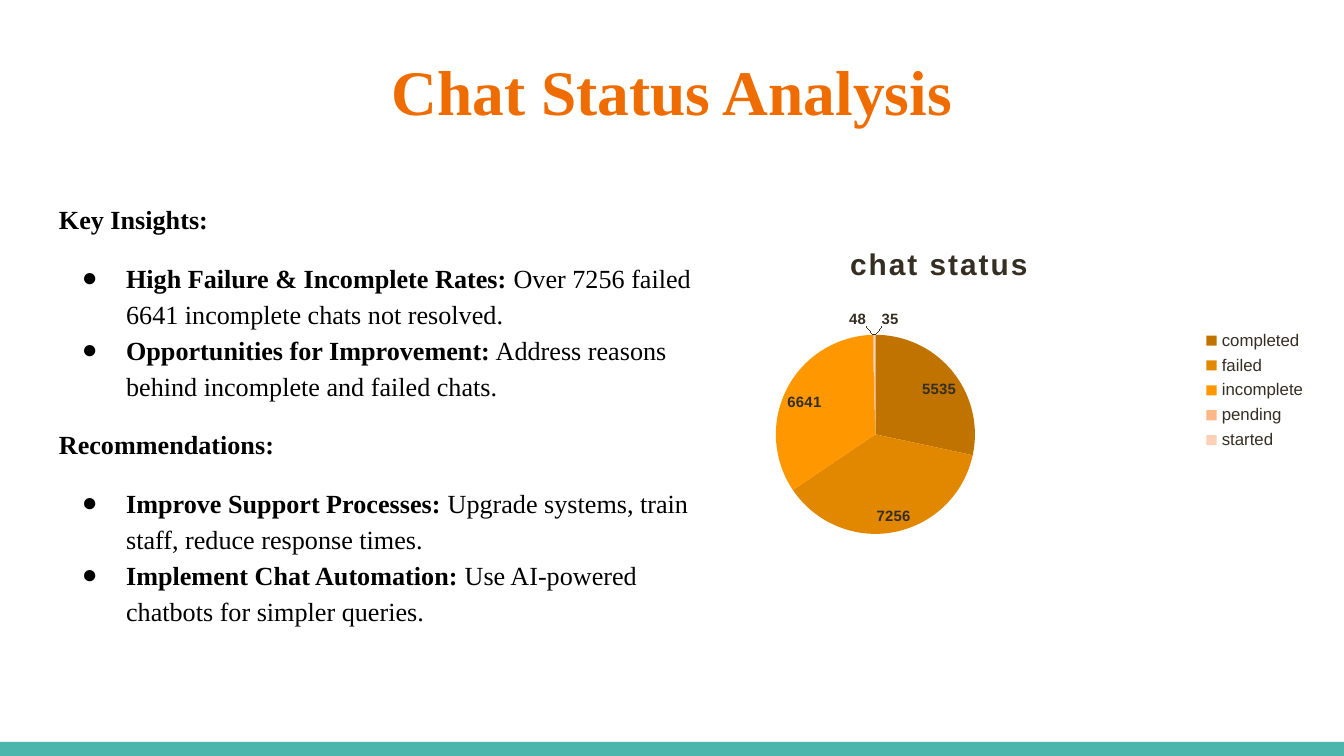
from dataclasses import dataclass

from lxml import etree
from pptx import Presentation
from pptx.chart.data import CategoryChartData
from pptx.dml.color import RGBColor
from pptx.enum.chart import XL_CHART_TYPE as ChartType
from pptx.enum.chart import XL_LABEL_POSITION as LabelPosition
from pptx.enum.chart import XL_LEGEND_POSITION as LegendPosition
from pptx.enum.shapes import MSO_SHAPE as Shape
from pptx.enum.text import PP_ALIGN as Align
from pptx.oxml import parse_xml
from pptx.oxml.ns import nsdecls, qn
from pptx.util import Inches, Pt


@dataclass(frozen=True)
class Theme:
    serif: str = "Times New Roman"
    sans: str = "Arial"
    background: str = "FFFFFF"
    accent: str = "EF6C00"
    bar: str = "4DB6AC"
    text: str = "000000"
    chart_text: str = "342E23"
    slices: tuple = ("C17300", "E28700", "FF9800", "FFB787", "FFD0B6")
    title_size: int = 34
    body_size: int = 14
    chart_size: int = 10
    chart_title_size: int = 16
    legend_size: int = 9
    label_size: int = 8


class PageBuilder:
    def __init__(self, page, theme):
        self.page = page
        self.theme = theme
        fill = page.background.fill
        fill.solid()
        fill.fore_color.rgb = RGBColor.from_string(theme.background)

    def style(self, font, name, size, color, bold=False):
        font.name = name
        font.size = Pt(size)
        font.bold = bold
        font.color.rgb = RGBColor.from_string(color)

    def bar(self, left, top, width, height):
        box = self.page.shapes.add_shape(
            Shape.RECTANGLE, Inches(left), Inches(top), Inches(width), Inches(height))
        box.shadow.inherit = False
        box.fill.solid()
        box.fill.fore_color.rgb = RGBColor.from_string(self.theme.bar)
        box.line.fill.background()

    def text_frame(self, left, top, width, height):
        box = self.page.shapes.add_textbox(
            Inches(left), Inches(top), Inches(width), Inches(height))
        frame = box.text_frame
        frame.word_wrap = True
        frame.margin_left = frame.margin_right = Inches(0.1)
        frame.margin_top = frame.margin_bottom = Inches(0.1)
        return frame

    def title(self, text, *place):
        frame = self.text_frame(*place)
        frame.text = text
        para = frame.paragraphs[0]
        para.alignment = Align.CENTER
        self.style(para.runs[0].font, self.theme.serif,
                   self.theme.title_size, self.theme.accent, True)

    def sections(self, sections, *place):
        frame = self.text_frame(*place)
        para = frame.paragraphs[0]
        for number, (heading, points) in enumerate(sections):
            if number:
                para = frame.add_paragraph()
            self.fill_paragraph(para, 12, heading)
            for index, (lead, detail) in enumerate(points):
                para = frame.add_paragraph()
                self.fill_paragraph(para, 0 if index else 12, lead, " " + detail)
                self.bullet(para)

    def fill_paragraph(self, para, space_before, lead, detail=""):
        para.line_spacing = 1.15
        para.space_before = Pt(space_before)
        para.text = lead
        if detail:
            para.add_run().text = detail
        for index, span in enumerate(para.runs):
            self.style(span.font, self.theme.serif, self.theme.body_size,
                       self.theme.text, index == 0)

    def bullet(self, para):
        props = para._p.get_or_add_pPr()
        props.set("marL", str(Inches(0.5)))
        props.set("indent", str(Inches(-0.33)))
        color = etree.SubElement(props, qn("a:buClr"))
        etree.SubElement(color, qn("a:srgbClr")).set("val", self.theme.text)
        etree.SubElement(props, qn("a:buFont")).set("typeface", self.theme.serif)
        etree.SubElement(props, qn("a:buChar")).set("char", "●")

    def layout(self, **values):
        parts = "".join(f'<c:{tag} val="{value}"/>' for tag, value in values.items())
        return parse_xml(f'<c:layout {nsdecls("c")}><c:manualLayout>{parts}'
                         '</c:manualLayout></c:layout>')

    def pie(self, title, counts, *place):
        theme = self.theme
        data = CategoryChartData()
        data.categories = list(counts)
        data.add_series("Series 1", list(counts.values()))
        chart = self.page.shapes.add_chart(
            ChartType.PIE, *(Inches(value) for value in place), data).chart
        self.style(chart.font, theme.sans, theme.chart_size, theme.chart_text)

        # Chart title
        chart.has_title = True
        frame = chart.chart_title.text_frame
        frame.text = title
        span = frame.paragraphs[0].runs[0]
        self.style(span.font, theme.sans, theme.chart_title_size, theme.chart_text, True)
        span.font._element.set("spc", "120")
        chart.chart_title.include_in_layout = False
        heading = chart.chart_title._element
        for old in heading.findall(qn("c:layout")):
            heading.remove(old)
        heading.find(qn("c:tx")).addnext(
            self.layout(xMode="edge", yMode="edge", x=0.38, y=0.04))

        # Legend
        chart.has_legend = True
        chart.legend.position = LegendPosition.RIGHT
        chart.legend.include_in_layout = False
        self.style(chart.legend.font, theme.sans, theme.legend_size, theme.chart_text)

        # Slices and values
        plot = chart.plots[0]
        plot.vary_by_categories = True
        for index, color in enumerate(theme.slices):
            fill = plot.series[0].points[index].format.fill
            fill.solid()
            fill.fore_color.rgb = RGBColor.from_string(color)
        labels = plot.series[0].data_labels
        labels.show_value = True
        labels.show_percentage = False
        labels.position = LabelPosition.BEST_FIT
        self.style(labels.font, theme.sans, theme.label_size, theme.chart_text, True)

        area = chart._chartSpace.chart.plotArea
        for old in area.findall(qn("c:layout")):
            area.remove(old)
        area.insert(0, self.layout(layoutTarget="inner", xMode="edge", yMode="edge",
                                   x=0.29, y=0.33, w=0.26, h=0.61))


SECTIONS = [
    ("Key Insights:", [
        ("High Failure & Incomplete Rates:",
         "Over 7256 failed 6641 incomplete chats not resolved."),
        ("Opportunities for Improvement:",
         "Address reasons behind incomplete and failed chats."),
    ]),
    ("Recommendations:", [
        ("Improve Support Processes:",
         "Upgrade systems, train staff, reduce response times."),
        ("Implement Chat Automation:",
         "Use AI-powered chatbots for simpler queries."),
    ]),
]
CHAT_COUNTS = {"completed": 5535, "failed": 7256, "incomplete": 6641,
               "pending": 48, "started": 35}


def main():
    # Widescreen page, 16 by 9
    deck = Presentation()
    deck.slide_width = Inches(10)
    deck.slide_height = Inches(10 * 9 / 16)
    page = deck.slides.add_slide(deck.slide_layouts[6])
    builder = PageBuilder(page, Theme())

    builder.bar(0, 5.52, 10, 0.11)
    builder.title("Chat Status Analysis", 0.34, 0.29, 9.32, 0.77)
    builder.sections(SECTIONS, 0.34, 1.38, 5.04, 3.61)
    builder.pie("chat status", CHAT_COUNTS, 4.12, 1.69, 5.7, 2.43)
    deck.save("out.pptx")


if __name__ == "__main__":
    main()
